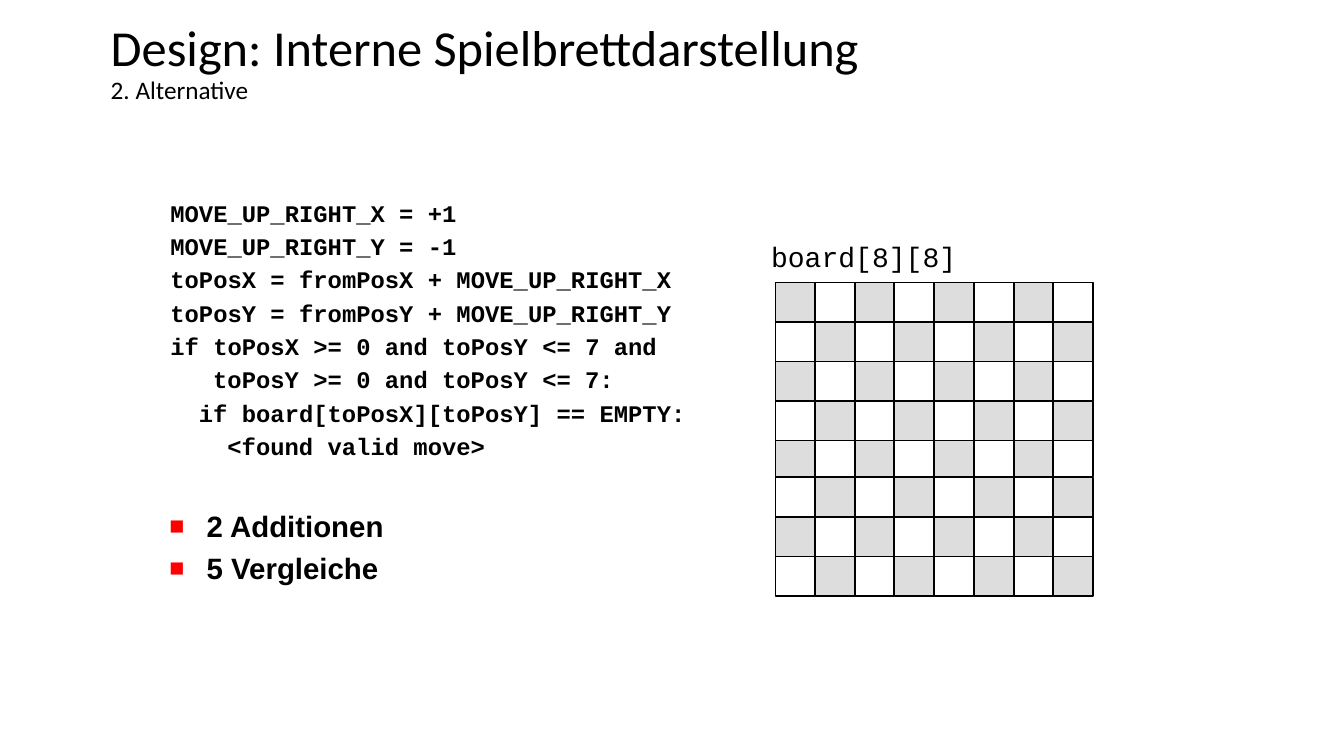
import pptx
import pptx.dml.color
import pptx.enum.shapes
import pptx.enum.text
import pptx.oxml
import pptx.oxml.ns
import pptx.util

Inches = pptx.util.Inches
Pt = pptx.util.Pt


def color(code):
    return pptx.dml.color.RGBColor.from_string(code)


class Sheet:
    ink = "000000"
    mark = "FF0000"
    side = 0.39

    def __init__(self, slide):
        self.slide = slide

    def box(self, left, top, width, height, pad=0.1):
        area = self.slide.shapes.add_textbox(
            Inches(left), Inches(top), Inches(width), Inches(height))
        frame = area.text_frame
        frame.word_wrap = True
        frame.margin_left = frame.margin_right = Inches(pad)
        frame.vertical_anchor = pptx.enum.text.MSO_ANCHOR.TOP
        return frame

    def run(self, para, text, size, face, bold=False):
        run = para.add_run()
        run.text = text
        run.font.size = Pt(size)
        run.font.name = face
        run.font.bold = bold
        run.font.color.rgb = color(self.ink)

    def lines(self, frame, count, gap):
        """Yield one spaced paragraph per line."""
        for index in range(count):
            para = frame.add_paragraph() if index else frame.paragraphs[0]
            para.space_before = Pt(gap)
            yield para

    def indent(self, para, left, first):
        props = para._p.get_or_add_pPr()
        props.set("marL", str(Inches(left)))
        props.set("indent", str(Inches(first)))
        return props

    def title(self, head, sub):
        para = self.box(1, 0.18, 11.33, 1.25).paragraphs[0]
        para.line_spacing = 0.9
        self.run(para, head, 36, "Calibri")
        para.add_line_break()
        self.run(para, sub, 18, "Calibri")

    def label(self, text):
        frame = self.box(7.55, 2.33, 2.2, 0.43)
        self.run(frame.paragraphs[0], text, 20, "Courier New")

    def code(self, rows):
        """Write (depth in characters, text) rows."""
        size = 17
        step = size * 0.6 / 72
        frame = self.box(1.58, 1.92, 5.64, 2.9, pad=0.11)
        for para, (depth, text) in zip(self.lines(frame, len(rows), 3.4), rows):
            self.indent(para, depth * step, 0)
            self.run(para, text, size, "Courier New", bold=True)

    def bullets(self, items):
        frame = self.box(1.57, 4.99, 4.82, 1.12, pad=0.11)
        for para, text in zip(self.lines(frame, len(items), 5), items):
            props = self.indent(para, 0.37, -0.37)
            space = pptx.oxml.ns.nsdecls("a")
            for part in (f'<a:buClr {space}><a:srgbClr val="{self.mark}"/></a:buClr>',
                         f'<a:buSzPct {space} val="85000"/>',
                         f'<a:buFont {space} typeface="Arial"/>',
                         f'<a:buChar {space} char="■"/>'):
                props.append(pptx.oxml.parse_xml(part))
            self.run(para, text, 21, "Arial", bold=True)

    def cell(self, group, left, top, fill):
        cell = group.shapes.add_shape(
            pptx.enum.shapes.MSO_SHAPE.RECTANGLE,
            Inches(left), Inches(top), Inches(self.side), Inches(self.side))
        cell.shadow.inherit = False
        cell.fill.solid()
        cell.fill.fore_color.rgb = color(fill)
        cell.line.color.rgb = color(self.ink)
        cell.line.width = Pt(1)

    def board(self, size=8):
        """Draw the squares from the bottom row up; the lower half sits closer."""
        group = self.slide.shapes.add_group_shape()
        half = size // 2
        pitch = (10.45 - 7.69) / (size - 1)
        for row in reversed(range(size)):
            top = (2.8, 4.34)[row // half] + row % half * pitch
            for col in range(size):
                fill = ("DDDDDD", "FFFFFF")[(row + col) % 2]
                self.cell(group, 7.69 + col * pitch, top, fill)


def main():
    deck = pptx.Presentation()
    deck.slide_width = Inches(13.33)
    deck.slide_height = Inches(7.5)
    sheet = Sheet(deck.slides.add_slide(deck.slide_layouts[6]))
    sheet.title("Design: Interne Spielbrettdarstellung", "2. Alternative")
    sheet.board()
    sheet.label("board[8][8]")
    sheet.code([
        (0, "MOVE_UP_RIGHT_X = +1"),
        (0, "MOVE_UP_RIGHT_Y = -1"),
        (0, "toPosX = fromPosX + MOVE_UP_RIGHT_X"),
        (0, "toPosY = fromPosY + MOVE_UP_RIGHT_Y"),
        (0, "if toPosX >= 0 and toPosY <= 7 and"),
        (3, "toPosY >= 0 and toPosY <= 7:"),
        (2, "if board[toPosX][toPosY] == EMPTY:"),
        (4, "<found valid move>"),
    ])
    sheet.bullets(["2 Additionen", "5 Vergleiche"])
    deck.save("out.pptx")


if __name__ == "__main__":
    main()
